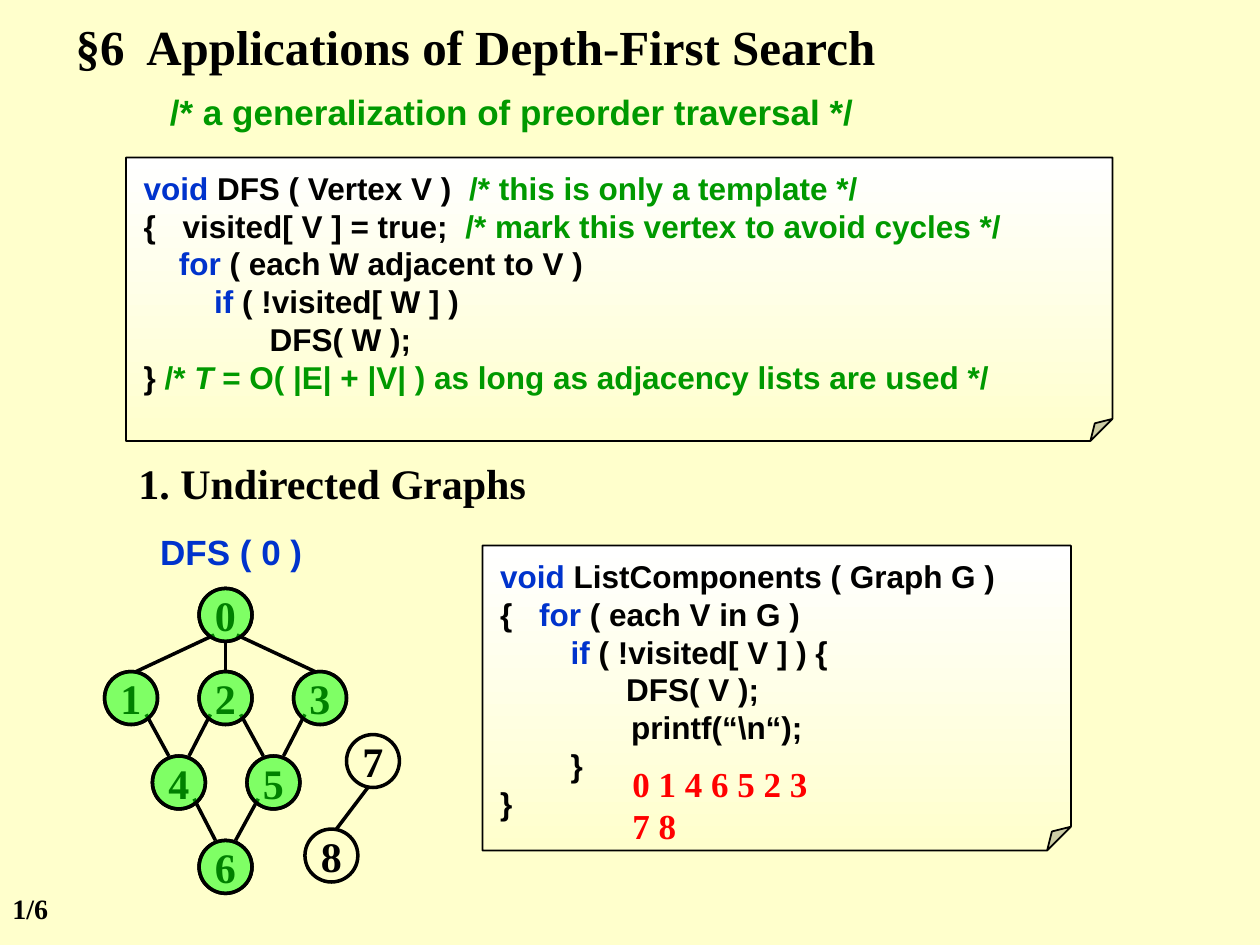
from dataclasses import dataclass

from lxml.etree import SubElement
from pptx import Presentation
from pptx.dml.color import RGBColor
from pptx.enum.shapes import MSO_CONNECTOR as Connector, MSO_SHAPE as Preset
from pptx.enum.text import MSO_ANCHOR as Anchor, MSO_AUTO_SIZE as AutoSize, PP_ALIGN as Align
from pptx.oxml.ns import qn
from pptx.util import Inches, Pt

SERIF, SANS = "Times New Roman", "Arial"
BLACK, WHITE, CREAM = "000000", "FFFFFF", "FFFFCC"
BLUE, GREEN, RED, LIME = "0033CC", "009900", "FF0000", "00FF00"
DIAMETER = 0.42
RADIUS = DIAMETER / 2
BRACE_TAB = 0.31


@dataclass
class Line:
    runs: list
    indent: float = 0


@dataclass
class Label:
    box: tuple
    lines: list
    size: int
    font: str
    centred: bool = False


@dataclass
class Note:
    box: tuple
    lines: list


@dataclass
class Vertex:
    left: float
    top: float
    visited: bool = True


@dataclass
class Edge:
    start: int
    end: int
    start_dx: float
    start_dy: float
    end_dx: float


def rgb(value: str) -> RGBColor:
    return RGBColor.from_string(value)


def apply_format(target, values: dict) -> None:
    for name, value in values.items():
        setattr(target, name, value)


def write(frame, lines: list, size: int, font: str, align=Align.LEFT) -> None:
    for index, line in enumerate(lines):
        paragraph = frame.add_paragraph() if index else frame.paragraphs[0]
        paragraph.alignment = align
        properties = paragraph._p.get_or_add_pPr()
        if line.indent:
            properties.set("marL", str(Inches(line.indent)))
            properties.set("indent", "0")
        if "\t" in line.runs[0][0]:
            stops = SubElement(properties, qn("a:tabLst"))
            SubElement(stops, qn("a:tab"), pos=str(Inches(BRACE_TAB)), algn="l")
        for text, color, *style in line.runs:
            run = paragraph.add_run()
            run.text = text
            apply_format(run.font, {"size": Pt(size), "name": font, "bold": True,
                                    "italic": "italic" in style})
            run.font.color.rgb = rgb(color)


def add_label(slide, label: Label) -> None:
    frame = slide.shapes.add_textbox(*map(Inches, label.box)).text_frame
    apply_format(frame, {"word_wrap": not label.centred,
                         "vertical_anchor": Anchor.MIDDLE if label.centred else Anchor.TOP})
    write(frame, label.lines, label.size, label.font,
          Align.CENTER if label.centred else Align.LEFT)


def add_outlined(slide, preset, box: tuple, width: float):
    shape = slide.shapes.add_shape(preset, *map(Inches, box))
    shape.shadow.inherit = False
    shape.fill.background()
    shape.line.color.rgb = rgb(BLACK)
    shape.line.width = Pt(width)
    return shape


def add_note(slide, note: Note) -> None:
    shape = add_outlined(slide, Preset.FOLDED_CORNER, note.box, 1)
    guides = shape._element.spPr.find(qn("a:prstGeom")).find(qn("a:avLst"))
    SubElement(guides, qn("a:gd"), name="adj", fmla="val 7800")
    shape.fill.gradient()
    shape.fill.gradient_angle = 270
    for stop, position, color in zip(shape.fill.gradient_stops, (0, 1), (WHITE, CREAM)):
        stop.position = position
        stop.color.rgb = rgb(color)
    apply_format(shape.text_frame, {
        "margin_left": Inches(0.14), "margin_top": Inches(0.09),
        "margin_right": Inches(0.1), "margin_bottom": Inches(0.05),
        "vertical_anchor": Anchor.TOP, "word_wrap": True})
    write(shape.text_frame, note.lines, 18, SANS)


def add_vertex(slide, number: int, vertex: Vertex) -> None:
    circle = add_outlined(slide, Preset.OVAL, (vertex.left, vertex.top, DIAMETER, DIAMETER), 2)
    apply_format(circle.text_frame, {"word_wrap": False, "vertical_anchor": Anchor.MIDDLE})
    write(circle.text_frame, [Line([(str(number), BLACK)])], 24, SERIF, Align.CENTER)


def add_visited_mark(slide, vertex: Vertex) -> None:
    mark = add_outlined(slide, Preset.OVAL, (vertex.left, vertex.top, DIAMETER, DIAMETER), 2)
    mark.fill.solid()
    mark.fill.fore_color.rgb = rgb(LIME)
    color = mark._element.spPr.find(qn("a:solidFill")).find(qn("a:srgbClr"))
    SubElement(color, qn("a:alpha"), val="50000")


def add_edge(slide, edge: Edge, vertices: list) -> None:
    start, end = vertices[edge.start], vertices[edge.end]
    side = (end.left > start.left) - (end.left < start.left)
    points = (start.left + RADIUS + side * edge.start_dx, start.top + RADIUS + edge.start_dy,
              end.left + RADIUS - side * edge.end_dx, end.top)
    line = slide.shapes.add_connector(Connector.STRAIGHT, *map(Inches, points))
    line.line.color.rgb = rgb(BLACK)
    line.line.width = Pt(2)
    SubElement(line._element.spPr, qn("a:effectLst"))


dfs_note = Note((1, 1.25, 7.83, 2.25), [
    Line([("void", BLUE), (" DFS ( Vertex V )  ", BLACK), ("/* this is only a template */", GREEN)]),
    Line([("{\tvisited[ V ] = true;  ", BLACK), ("/* mark this vertex to avoid cycles */", GREEN)]),
    Line([("for", BLUE), (" ( each W adjacent to V )", BLACK)], 0.28),
    Line([("if", BLUE), (" ( !visited[ W ] )", BLACK)], 0.56),
    Line([("DFS( W );", BLACK)], 1),
    Line([("} ", BLACK), ("/* ", GREEN), ("T", GREEN, "italic"),
          (" = O( |E| + |V| ) as long as adjacency lists are used */", GREEN)]),
])
components_note = Note((3.83, 4.33, 4.67, 2.42), [
    Line([("void", BLUE), (" ListComponents ( Graph G ) ", BLACK)]),
    Line([("{\t", BLACK), ("for", BLUE), (" ( each V in G ) ", BLACK)]),
    Line([("if", BLUE), (" ( !visited[ V ] ) {", BLACK)], 0.56),
    Line([("DFS( V );", BLACK)], 1),
    Line([("printf(“\\n“);", BLACK)], 1.04),
    Line([("}", BLACK)], 0.56),
    Line([("}", BLACK)]),
])
labels = [
    Label((1.25, 0.67, 6.08, 0.43),
          [Line([("/* a generalization of preorder traversal */", GREEN)])], 20, SANS),
    Label((1.17, 4.17, 1.33, 0.42), [Line([("DFS ( 0 )", BLUE)])], 20, SANS, True),
    Label((1, 3.58, 3.67, 0.5), [Line([("1. Undirected Graphs", BLACK)])], 24, SERIF),
    Label((4.92, 6, 1.83, 0.77),
          [Line([("0 1 4 6 5 2 3", RED)]), Line([("7 8", RED)])], 20, SERIF),
    Label((0, 7.03, 0.75, 0.37), [Line([("1/6", BLACK)])], 16, SERIF),
]
vertices = [
    Vertex(1.58, 4.67),
    *[Vertex(0.83 + 0.75 * column, 5.33) for column in range(3)],
    *[Vertex(1.21 + 0.75 * column, 6) for column in range(2)],
    Vertex(1.58, 6.67),
    Vertex(2.75, 5.83, False),
    Vertex(2.42, 6.58, False),
]
edges = [
    *[Edge(0, child, 0.09, 0.16, 0.04) for child in (1, 3)],
    Edge(0, 2, 0, RADIUS, 0),
    *[Edge(start, end, 0.12, 0.13, 0.08)
      for start, end in ((1, 4), (2, 4), (2, 5), (3, 5), (4, 6), (5, 6))],
    Edge(7, 8, 0.04, RADIUS, 0.04),
]

deck = Presentation()
apply_format(deck, {"slide_width": Inches(10), "slide_height": Inches(7.5)})
slide = deck.slides.add_slide(deck.slide_layouts[5])
slide.background.fill.solid()
slide.background.fill.fore_color.rgb = rgb(CREAM)

title = slide.shapes.title
apply_format(title, {"left": Inches(0.5), "top": Inches(0.08),
                     "width": Inches(8.17), "height": Inches(0.57)})
apply_format(title.text_frame, {"vertical_anchor": Anchor.TOP, "word_wrap": True,
                                "auto_size": AutoSize.NONE})
write(title.text_frame, [Line([("§6  Applications of Depth-First Search", BLACK)])], 28, SERIF)

for note in (dfs_note, components_note):
    add_note(slide, note)
for number, vertex in enumerate(vertices):
    add_vertex(slide, number, vertex)
for edge in edges:
    add_edge(slide, edge, vertices)
for vertex in vertices:
    if vertex.visited:
        add_visited_mark(slide, vertex)
for label in labels:
    add_label(slide, label)

deck.save("out.pptx")
